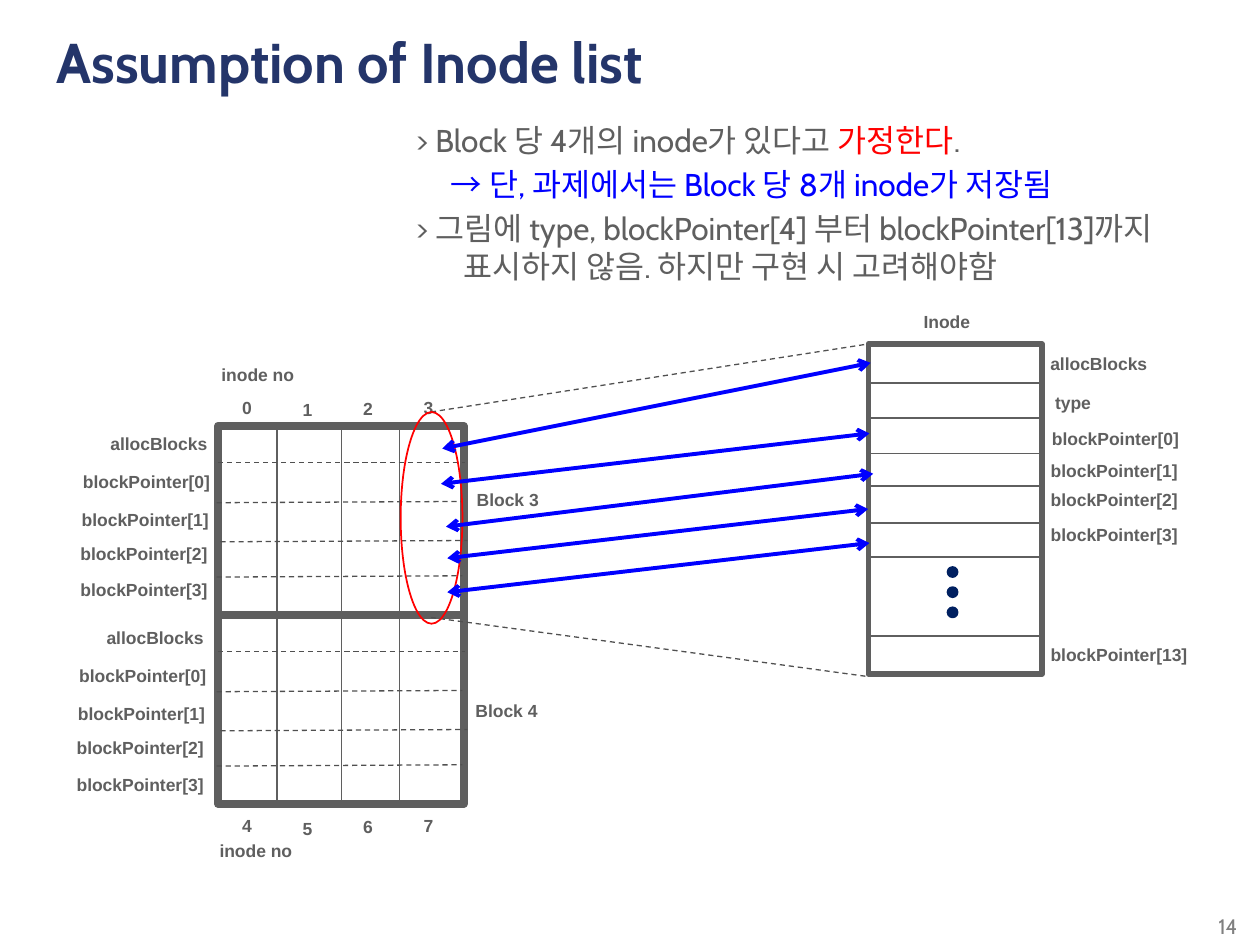
from dataclasses import dataclass
from typing import NamedTuple, Optional

from lxml import etree
from pptx import Presentation
from pptx import util as u
from pptx.dml import color as dml
from pptx.enum import dml as line_styles
from pptx.enum import shapes, text
from pptx.oxml import ns

PX = 9144  # EMU in one px: 100 px to the inch


class Stroke(NamedTuple):
    color: str
    width: float
    dashed: bool = False
    arrows: bool = False


class Box(NamedTuple):
    x: int
    y: int
    w: int
    h: int


class Run(NamedTuple):
    words: str
    color: str


class Paragraph(NamedTuple):
    runs: list[Run]
    margin: int = 0
    indent: int = 0


class Label(NamedTuple):
    words: str
    x: int
    y: int
    w: int
    centred: bool = False
    wrap: bool = True


@dataclass(frozen=True)
class Theme:
    heading_font: str = "Cabin"
    label_font: str = "Arial"
    title_size: int = 32
    body_size: int = 18
    page_size: int = 12
    label_size: int = 10
    navy: str = "24356A"
    grey: str = "5F5F5F"
    page_grey: str = "808080"
    red: str = "FF0000"
    blue: str = "0000FF"
    dot: str = "002060"
    block_edge: Stroke = Stroke("5F5F5F", 4.5)
    inode_edge: Stroke = Stroke("5F5F5F", 3)
    rule: Stroke = Stroke("5F5F5F", 1)
    dash: Stroke = Stroke("505050", 0.75, dashed=True)
    highlight: Stroke = Stroke("FF0000", 1)
    dot_edge: Stroke = Stroke("002060", 1)
    mapping: Stroke = Stroke("0000FF", 2.25, arrows=True)


@dataclass(frozen=True)
class Block:
    name: Label
    top: int
    first_inode: int
    numbers_y: int
    caption: Label
    field_dx: int
    field_dy: int


T = Theme()
BLOCK_X, BLOCK_W, BLOCK_H = 173, 195, 150
COLUMN_RULES = (220, 271, 317)
ROW_RULES = ((173, 369, 29, 29), (172, 367, 61, 60), (175, 371, 92, 91), (172, 367, 120, 119))
NUMBER_DROPS = (0, 2, 1, 0)
POINTERS = [f"blockPointer[{i}]" for i in range(4)]
BLOCK_FIELDS = [Label("allocBlocks", 77, 1, 98, centred=True)] + [
    Label(name, x, y, 122) for name, x, y in zip(POINTERS, (56, 55, 54, 54), (31, 61, 88, 117))
]
BLOCKS = [
    Block(Label("Block 3", 368, 383, 70, True, False), 338, 0, 310,
          Label("inode no", 165, 284, 79, True, False), 0, 0),
    Block(Label("Block 4", 367, 551, 70, True, False), 488, 4, 642,
          Label("inode no", 164, 662, 78, True, False), -3, 4),
]

INODE = Box(689, 273, 138, 262)
INODE_RULES = ((691, 304), (689, 332), (691, 360), (691, 386), (689, 415), (691, 442), (691, 505))
INODE_LABELS = [
    Label("Inode", 723, 242, 57, True, False),
    Label("allocBlocks", 823, 275, 98, True),
    Label("type", 827, 306, 49, True),
    *(Label(name, x, y, 122) for name, x, y in zip(POINTERS, (825, 824, 824, 824), (335, 360, 383, 411))),
    Label("blockPointer[13]", 824, 506, 130),
]
GUIDES = ((342, 327, 689, 273), (342, 490, 689, 537))
MAPPINGS = (
    (351, 356, 691, 288),
    (350, 384, 690, 344),
    (354, 418, 693, 376),
    (355, 443, 689, 404),
    (355, 470, 690, 431),
)

NOTES = [
    Paragraph([Run("> Block 당 4개의 inode가 있다고 ", T.grey), Run("가정한다", T.red), Run(".", T.grey)], 38, -38),
    Paragraph([Run("→ 단, 과제에서는 Block 당 8개 inode가 저장됨", T.blue)], 28),
    Paragraph([Run("> 그림에 type, blockPointer[4] 부터 blockPointer[13]까지 표시하지 않음. "
                   "하지만 구현 시 고려해야함", T.grey)], 38, -38),
]


def scaled(*lengths: int) -> list[u.Emu]:
    return [u.Emu(length * PX) for length in lengths]


def add_text(slide, box: Box, paragraphs: list[Paragraph], *, font: str, size: int, bold: bool = False,
             align=text.PP_ALIGN.LEFT, anchor=text.MSO_ANCHOR.TOP, wrap: bool = True,
             grow: bool = False, space_before: float = 0) -> None:
    frame = slide.shapes.add_textbox(*scaled(*box)).text_frame
    frame.word_wrap = wrap
    frame.vertical_anchor = anchor
    frame.auto_size = text.MSO_AUTO_SIZE.SHAPE_TO_FIT_TEXT if grow else text.MSO_AUTO_SIZE.NONE
    for index, content in enumerate(paragraphs):
        line = frame.add_paragraph() if index else frame.paragraphs[0]
        line.alignment = align
        line.space_before = u.Pt(space_before)
        properties = line._p.get_or_add_pPr()
        properties.set("marL", str(content.margin * PX))
        properties.set("indent", str(content.indent * PX))
        for words, color in content.runs:
            run = line.add_run()
            run.text = words
            run.font.name, run.font.size, run.font.bold = font, u.Pt(size), bold
            run.font.color.rgb = dml.RGBColor.from_string(color)


def add_label(slide, label: Label, dx: int = 0, dy: int = 0) -> None:
    add_text(slide, Box(label.x + dx, label.y + dy, label.w, 27), [Paragraph([Run(label.words, T.grey)])],
             font=T.label_font, size=T.label_size, bold=True, wrap=label.wrap, grow=True,
             align=text.PP_ALIGN.CENTER if label.centred else text.PP_ALIGN.LEFT)


def apply_stroke(line, stroke: Stroke) -> None:
    line.color.rgb = dml.RGBColor.from_string(stroke.color)
    line.width = u.Pt(stroke.width)
    if stroke.dashed:
        line.dash_style = line_styles.MSO_LINE.DASH


def add_line(slide, x1: int, y1: int, x2: int, y2: int, stroke: Stroke) -> None:
    line = slide.shapes.add_connector(shapes.MSO_CONNECTOR.STRAIGHT, *scaled(x1, y1, x2, y2))
    apply_stroke(line.line, stroke)
    if stroke.arrows:
        for end in ("a:headEnd", "a:tailEnd"):
            etree.SubElement(line.line._get_or_add_ln(), ns.qn(end), type="arrow")
    etree.SubElement(line._element.spPr, ns.qn("a:effectLst"))


def add_outline(slide, kind, box: Box, stroke: Stroke, fill: Optional[str] = None) -> None:
    outline = slide.shapes.add_shape(kind, *scaled(*box))
    outline.shadow.inherit = False
    apply_stroke(outline.line, stroke)
    if fill:
        outline.fill.solid()
        outline.fill.fore_color.rgb = dml.RGBColor.from_string(fill)
    else:
        outline.fill.background()


def draw_block(slide, block: Block) -> None:
    top = block.top
    add_line(slide, 177, top - 1, 329, top - 2, T.rule)
    add_outline(slide, shapes.MSO_SHAPE.RECTANGLE, Box(BLOCK_X, top, BLOCK_W, BLOCK_H), T.block_edge)
    for x in COLUMN_RULES:
        add_line(slide, x, top + BLOCK_H, x, top, T.rule)
    for x1, x2, y1, y2 in ROW_RULES:
        add_line(slide, x1, top + y1, x2, top + y2, T.dash)
    for column, drop in enumerate(NUMBER_DROPS):
        number = str(block.first_inode + column)
        add_label(slide, Label(number, 182 + 48 * column, block.numbers_y + drop, 28, True, False))
    for field in BLOCK_FIELDS:
        add_label(slide, field, block.field_dx, top + block.field_dy)
    add_label(slide, block.name)
    add_label(slide, block.caption)


def draw_inode(slide) -> None:
    for guide in GUIDES:
        add_line(slide, *guide, T.dash)
    add_outline(slide, shapes.MSO_SHAPE.RECTANGLE, INODE, T.inode_edge)
    for x, y in INODE_RULES:
        add_line(slide, x, y, x + 136, y, T.rule)
    for step in range(3):
        add_outline(slide, shapes.MSO_SHAPE.OVAL, Box(752, 450 + 16 * step, 8, 8), T.dot_edge, T.dot)
    for label in INODE_LABELS:
        add_label(slide, label)


def main() -> None:
    deck = Presentation()
    deck.slide_width, deck.slide_height = scaled(1000, 750)
    slide = deck.slides.add_slide(deck.slide_layouts[6])
    add_text(slide, Box(892, 725, 100, 25), [Paragraph([Run("14", T.page_grey)])], font=T.heading_font,
             size=T.page_size, align=text.PP_ALIGN.RIGHT, anchor=text.MSO_ANCHOR.BOTTOM)
    add_text(slide, Box(35, 17, 903, 122), [Paragraph([Run("Assumption of Inode list", T.navy)])],
             font=T.heading_font, size=T.title_size, bold=True)
    add_text(slide, Box(320, 91, 634, 113), NOTES, font=T.heading_font, size=T.body_size, space_before=3.6)
    for block in BLOCKS:
        draw_block(slide, block)
    draw_inode(slide)
    add_outline(slide, shapes.MSO_SHAPE.OVAL, Box(318, 327, 49, 168), T.highlight)
    for mapping in MAPPINGS:
        add_line(slide, *mapping, T.mapping)
    deck.save("out.pptx")


if __name__ == "__main__":
    main()
